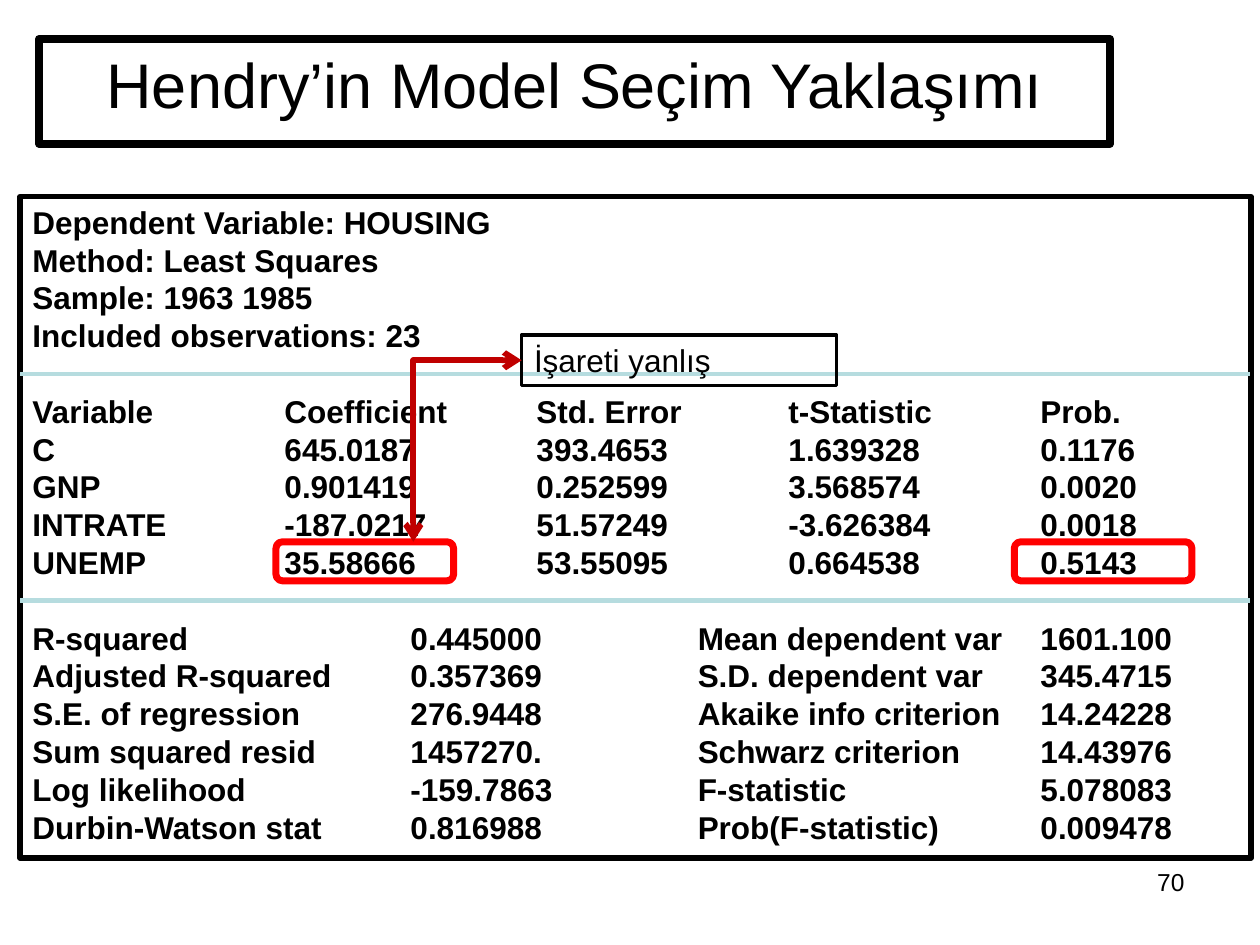
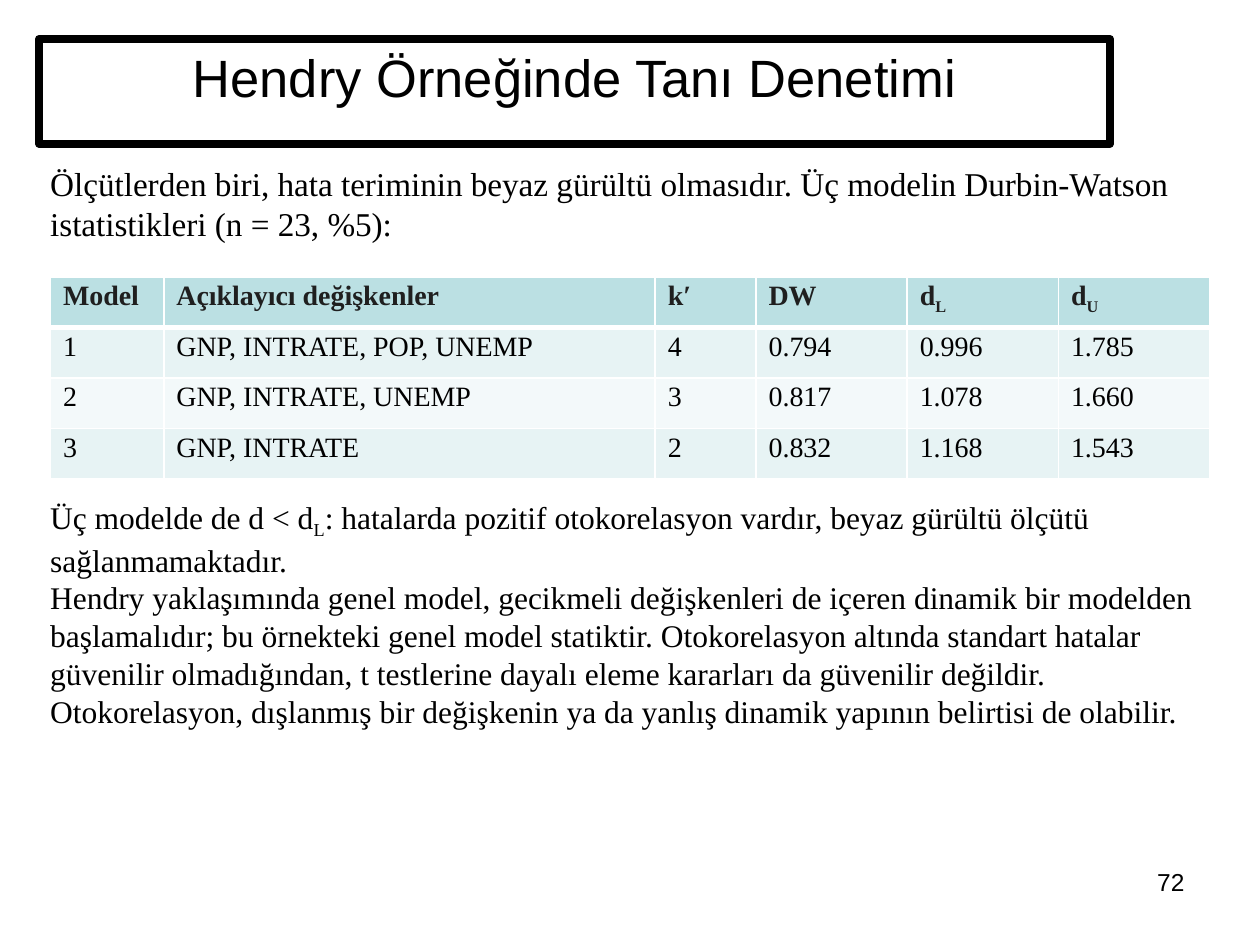
from lxml import etree
from pptx import Presentation
from pptx.dml.color import RGBColor
from pptx.enum.shapes import MSO_CONNECTOR, MSO_SHAPE
from pptx.enum.text import MSO_ANCHOR, MSO_AUTO_SIZE, PP_ALIGN
from pptx.oxml.ns import qn
from pptx.util import Emu, Inches, Pt

RECTANGLE, ROUNDED = MSO_SHAPE.RECTANGLE, MSO_SHAPE.ROUNDED_RECTANGLE
STRAIGHT, ELBOW = MSO_CONNECTOR.STRAIGHT, MSO_CONNECTOR.ELBOW
LEFT, CENTER, RIGHT = PP_ALIGN.LEFT, PP_ALIGN.CENTER, PP_ALIGN.RIGHT
TOP, NO_FIT = MSO_ANCHOR.TOP, MSO_AUTO_SIZE.NONE
TITLE_ONLY = 5

SANS, SERIF = "Arial", "Times New Roman"
BLACK, WHITE, RED, DARK_RED = "000000", "FFFFFF", "FF0000", "C00000"
RULE, HEADER_INK = "B6DCDF", "1F1F1F"
HEADER_FILL, BAND_FILLS = "BBE0E3", ("E7F3F4", "F3F9FA")

BLANK_LINE = 21.6
VARIABLE_TABS = (2, 4, 6, 8)
STATISTIC_TABS = (3, 5.28, 8)

SAMPLE_LINES = [
    "Dependent Variable: HOUSING",
    "Method: Least Squares",
    "Sample: 1963 1985",
    "Included observations: 23",
]
COEFFICIENTS = [
    ("Variable", "Coefficient", "Std. Error", "t-Statistic", "Prob."),
    ("C", "645.0187", "393.4653", "1.639328", "0.1176"),
    ("GNP", "0.901419", "0.252599", "3.568574", "0.0020"),
    ("INTRATE", "-187.0217", "51.57249", "-3.626384", "0.0018"),
    ("UNEMP", "35.58666", "53.55095", "0.664538", "0.5143"),
]
FIT_STATISTICS = [
    ("R-squared", "0.445000", "Mean dependent var", "1601.100"),
    ("Adjusted R-squared", "0.357369", "S.D. dependent var", "345.4715"),
    ("S.E. of regression", "276.9448", "Akaike info criterion", "14.24228"),
    ("Sum squared resid", "1457270.", "Schwarz criterion", "14.43976"),
    ("Log likelihood", "-159.7863", "F-statistic", "5.078083"),
    ("Durbin-Watson stat", "0.816988", "Prob(F-statistic)", "0.009478"),
]

# A tuple inside a text is (base, subscript).
D_LOWER, D_UPPER = ("d", "L"), ("d", "U")
DW_COLUMNS = (0.9, 3.9, 0.8, 1.2, 1.2, 1.2)
DW_ROWS = [
    ("Model", "Açıklayıcı değişkenler", "k′", "DW", D_LOWER, D_UPPER),
    ("1", "GNP, INTRATE, POP, UNEMP", "4", "0.794", "0.996", "1.785"),
    ("2", "GNP, INTRATE, UNEMP", "3", "0.817", "1.078", "1.660"),
    ("3", "GNP, INTRATE", "2", "0.832", "1.168", "1.543"),
]
DW_INTRO = (
    "Ölçütlerden biri, hata teriminin beyaz gürültü olmasıdır. "
    "Üç modelin Durbin-Watson istatistikleri (n = 23, %5):"
)
DW_FINDINGS = [
    ["Üç modelde de d < ", D_LOWER,
     ": hatalarda pozitif otokorelasyon vardır, beyaz gürültü ölçütü sağlanmamaktadır."],
    ["Hendry yaklaşımında genel model, gecikmeli değişkenleri de içeren dinamik bir "
     "modelden başlamalıdır; bu örnekteki genel model statiktir. Otokorelasyon altında "
     "standart hatalar güvenilir olmadığından, t testlerine dayalı eleme kararları da "
     "güvenilir değildir."],
    ["Otokorelasyon, dışlanmış bir değişkenin ya da yanlış dinamik yapının belirtisi "
     "de olabilir."],
]


def rgb(color):
    return RGBColor.from_string(color)


def box(left, top, width, height):
    return [Inches(value) for value in (left, top, width, height)]


def child(parent, tag, **attributes):
    return etree.SubElement(parent, qn(tag), attributes)


def add_run(paragraph, text, size, font, color=BLACK, bold=False, subscript=False):
    run = paragraph.add_run()
    run.text = text
    run.font.size = Pt(size)
    run.font.name = font
    run.font.bold = bold
    run.font.color.rgb = rgb(color)
    if subscript:
        run._r.get_or_add_rPr().set("baseline", "-25000")


def add_pieces(paragraph, pieces, size, font, **style):
    """Write strings as runs, and each tuple as a base with a subscript."""
    for piece in pieces:
        if isinstance(piece, tuple):
            base, index = piece
            add_run(paragraph, base, size, font, **style)
            add_run(paragraph, index, size, font, subscript=True, **style)
        else:
            add_run(paragraph, piece, size, font, **style)


def fill_frame(frame, paragraphs, size, font, align=LEFT, **style):
    frame.word_wrap = True
    frame.auto_size = NO_FIT
    frame.vertical_anchor = TOP
    for number, pieces in enumerate(paragraphs):
        paragraph = frame.add_paragraph() if number else frame.paragraphs[0]
        paragraph.alignment = align
        add_pieces(paragraph, pieces, size, font, **style)


def outline(shape, color, width):
    shape.fill.background()
    shape.line.color.rgb = rgb(color)
    shape.line.width = Pt(width)


def add_outlined(slide, preset, place, color, width):
    shape = slide.shapes.add_shape(preset, *box(*place))
    shape.shadow.inherit = False
    outline(shape, color, width)
    return shape


def add_text(slide, place, paragraphs, size, font, align=LEFT):
    text_box = slide.shapes.add_textbox(*box(*place))
    fill_frame(text_box.text_frame, paragraphs, size, font, align)


def add_line(slide, kind, start, end, color, width):
    line = slide.shapes.add_connector(kind, *box(*start, *end))
    line.line.color.rgb = rgb(color)
    line.line.width = Pt(width)
    child(line._element.spPr, "a:effectLst")
    return line


def add_corner_arrow(slide, start, end, color, width):
    """Draw a one-bend connector with an arrowhead at both ends."""
    arrow = add_line(slide, ELBOW, start, end, color, width)
    properties = arrow._element.spPr
    properties.find(qn("a:xfrm")).set("rot", "10800000")
    properties.find(qn("a:prstGeom")).set("prst", "bentConnector2")
    line = properties.find(qn("a:ln"))
    for tag in ("a:headEnd", "a:tailEnd"):
        child(line, tag, type="arrow")


def add_titled_slide(prs, title, title_size, page):
    slide = prs.slides.add_slide(prs.slide_layouts[TITLE_ONLY])
    heading = slide.shapes.title
    heading.left, heading.top, heading.width, heading.height = box(0.31, 0.31, 8.5, 0.83)
    outline(heading, BLACK, 4.5)
    fill_frame(heading.text_frame, [[title]], title_size, SANS, CENTER)
    add_text(slide, (7.17, 6.83, 2.33, 0.52), [[page]], 14, SANS, RIGHT)
    return slide


def set_tabs(paragraph, stops):
    tab_list = child(paragraph._p.get_or_add_pPr(), "a:tabLst")
    for stop in stops:
        child(tab_list, "a:tab", pos=str(Inches(stop)), algn="l")


def add_regression_output(slide):
    panel = add_outlined(slide, RECTANGLE, (0.16, 1.56, 9.77, 5.25), BLACK, 3)
    sections = [
        ([(line,) for line in SAMPLE_LINES], ()),
        (COEFFICIENTS, VARIABLE_TABS),
        (FIT_STATISTICS, STATISTIC_TABS),
    ]
    lines = [["\t".join(row)] for rows, _ in sections for row in rows]
    frame = panel.text_frame
    fill_frame(frame, lines, 18, SANS, bold=True)
    paragraphs = iter(frame.paragraphs)
    for rows, stops in sections:
        for number in range(len(rows)):
            paragraph = next(paragraphs)
            if stops:
                set_tabs(paragraph, stops)
                if number == 0:
                    paragraph.space_before = Pt(BLANK_LINE)


def set_borders(cell, **widths):
    properties = cell._tc.get_or_add_tcPr()
    for side in "LRTB":
        width = Pt(widths.get(side, 1))
        border = child(properties, f"a:ln{side}", w=str(width))
        child(child(border, "a:solidFill"), "a:srgbClr", val=WHITE)


def add_dw_table(slide):
    place = box(0.4, 2.2, sum(DW_COLUMNS), 0.4 * len(DW_ROWS))
    table = slide.shapes.add_table(len(DW_ROWS), len(DW_COLUMNS), *place).table
    for column, width in zip(table.columns, DW_COLUMNS):
        column.width = Inches(width)
    for r, row in enumerate(DW_ROWS):
        table.rows[r].height = Inches(0.4)
        header = r == 0
        for c, value in enumerate(row):
            cell = table.cell(r, c)
            set_borders(cell, **({"B": 3} if header else {"T": 3} if r == 1 else {}))
            cell.fill.solid()
            cell.fill.fore_color.rgb = rgb(HEADER_FILL if header else BAND_FILLS[(r - 1) % 2])
            cell.margin_left = cell.margin_right = Inches(0.1)
            cell.margin_top = cell.margin_bottom = Inches(0.03)
            add_pieces(cell.text_frame.paragraphs[0], [value], 16, SERIF,
                       color=HEADER_INK if header else BLACK, bold=header)


def build_regression_slide(prs):
    slide = add_titled_slide(prs, "Hendry’in Model Seçim Yaklaşımı", 36, "70")
    add_regression_output(slide)
    for y in (2.97, 4.765):
        add_line(slide, STRAIGHT, (0.16, y), (9.92, y), RULE, 2.5)
    for x in (8.05, 2.19):
        add_outlined(slide, ROUNDED, (x, 4.3, 1.41, 0.31), RED, 4)
    wrong_sign = add_outlined(slide, RECTANGLE, (4.14, 2.66, 2.5, 0.4), BLACK, 2)
    fill_frame(wrong_sign.text_frame, [["İşareti yanlış"]], 18, SANS)
    add_corner_arrow(slide, (3.28, 4.3), (4.14, 2.86), DARK_RED, 3.25)


def build_diagnostics_slide(prs):
    slide = add_titled_slide(prs, "Hendry Örneğinde Tanı Denetimi", 30, "72")
    add_text(slide, (0.3, 1.25, 9.4, 0.9), [[DW_INTRO]], 19, SERIF)
    add_dw_table(slide)
    add_text(slide, (0.3, 3.9, 9.4, 3), DW_FINDINGS, 18, SERIF)


def main():
    prs = Presentation()
    prs.slide_width, prs.slide_height = Emu(Inches(10)), Emu(Inches(7.5))
    build_regression_slide(prs)
    build_diagnostics_slide(prs)
    prs.save("out.pptx")


if __name__ == "__main__":
    main()
